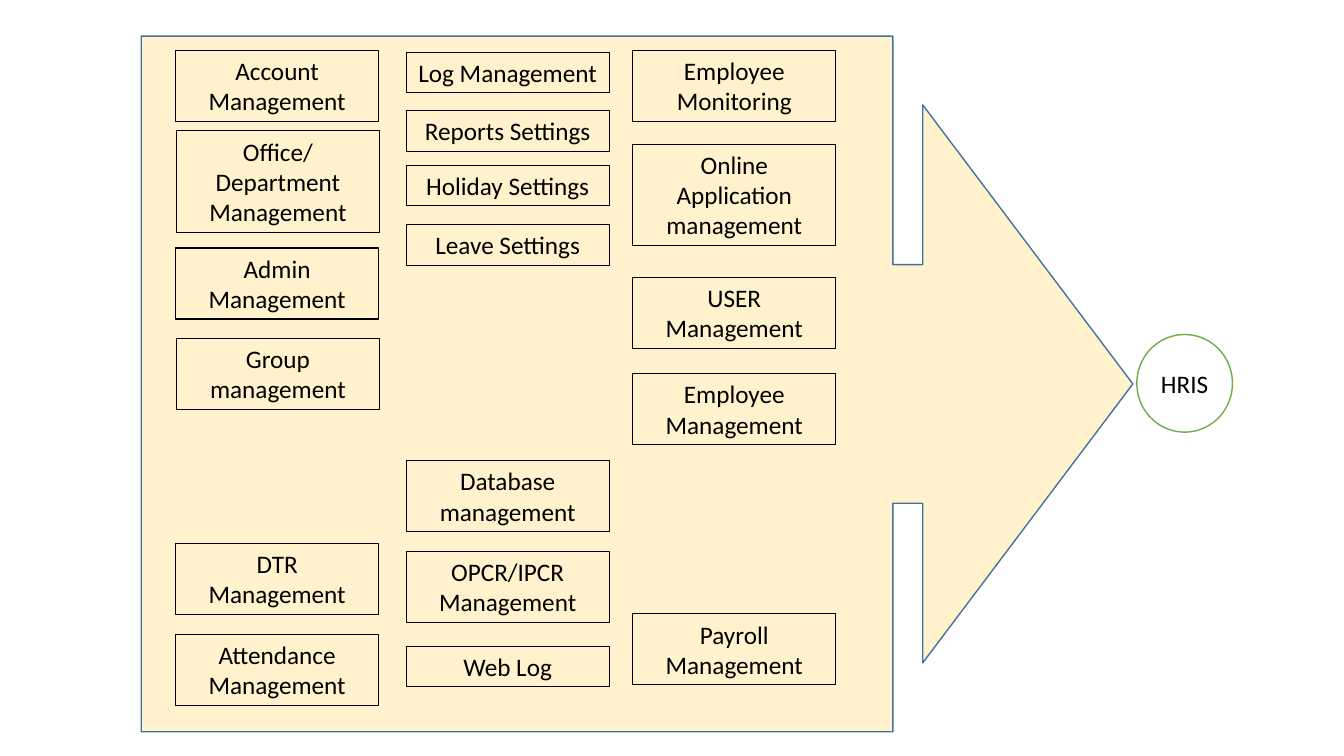
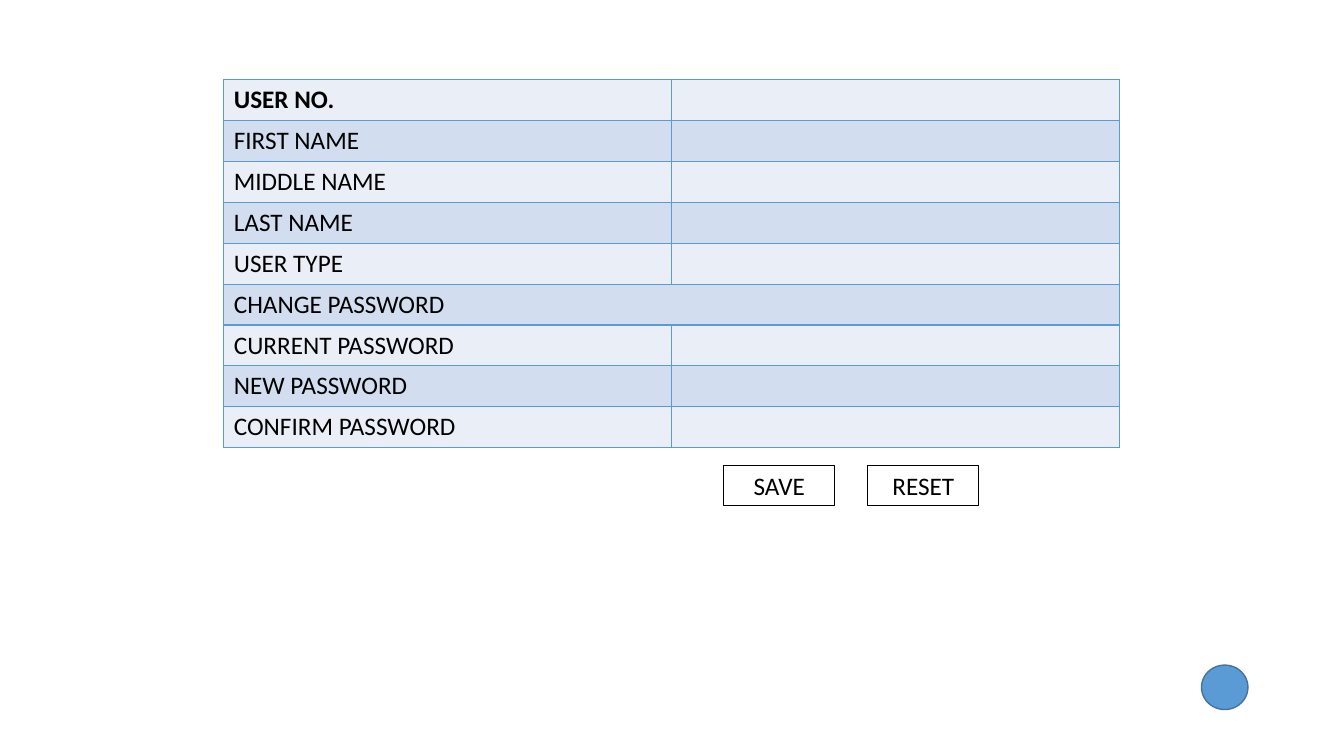
import dataclasses
import typing

import lxml.etree
import pptx
import pptx.dml.color
import pptx.enum.shapes
import pptx.enum.text
import pptx.oxml.ns
import pptx.util

Cm = pptx.util.Cm
Pt = pptx.util.Pt
Preset = pptx.enum.shapes.MSO_SHAPE

BLACK, WHITE = "000000", "FFFFFF"
CREAM, GREEN = "FFF2CC", "70AD47"
BLUE, DARK_BLUE = "5B9BD5", "43739E"
BANDS = ("EAEFF7", "D2DEEF")

BODY_FONT = {"name": "Calibri", "size": Pt(18), "bold": False}
LABEL_FRAME = {
    "word_wrap": True,
    "auto_size": pptx.enum.text.MSO_AUTO_SIZE.SHAPE_TO_FIT_TEXT,
}
BADGE_FRAME = {
    "word_wrap": False,
    "vertical_anchor": pptx.enum.text.MSO_ANCHOR.MIDDLE,
    "margin_left": 0,
    "margin_right": 0,
}

LINE_HEIGHT, LABEL_PADDING = 0.77, 0.25
MODULE_WIDTH, BUTTON_WIDTH = 5.11, 2.8
FIELD_WIDTH, ROW_HEIGHT = 11.29, 1.03


@dataclasses.dataclass(frozen=True)
class Label:
    """A framed text; lengths are in centimetres."""
    text: str
    left: float
    top: float
    lines: int = 2
    width: float = MODULE_WIDTH


ADMIN_LEFT, GROUP_LEFT, SETTINGS_LEFT, EMPLOYEE_LEFT = 4.43, 4.45, 10.24, 15.95

MODULES = (
    Label("Account Management", ADMIN_LEFT, 1.27),
    Label("Office/ Department Management", GROUP_LEFT, 3.3, lines=3),
    Label("Admin Management", ADMIN_LEFT, 6.25),
    Label("Group management", GROUP_LEFT, 8.53),
    Label("DTR Management", ADMIN_LEFT, 13.69),
    Label("Attendance Management", ADMIN_LEFT, 15.98),
    Label("Log Management", SETTINGS_LEFT, 1.32, lines=1),
    Label("Reports Settings", SETTINGS_LEFT, 2.79, lines=1),
    Label("Holiday Settings", SETTINGS_LEFT, 4.17, lines=1),
    Label("Leave Settings", SETTINGS_LEFT, 5.66, lines=1),
    Label("Database management", SETTINGS_LEFT, 11.61),
    Label("OPCR/IPCR Management", SETTINGS_LEFT, 13.89),
    Label("Web Log", SETTINGS_LEFT, 16.28, lines=1),
    Label("Employee Monitoring", EMPLOYEE_LEFT, 1.27),
    Label("Online Application management", EMPLOYEE_LEFT, 3.63, lines=3),
    Label("USER Management", EMPLOYEE_LEFT, 6.99),
    Label("Employee Management", EMPLOYEE_LEFT, 9.42),
    Label("Payroll Management", EMPLOYEE_LEFT, 15.47),
)

BUTTONS = (
    Label("SAVE", 18.24, 11.73, lines=1, width=BUTTON_WIDTH),
    Label("RESET", 21.87, 11.73, lines=1, width=BUTTON_WIDTH),
)

PASSWORD_HEADING = "CHANGE PASSWORD"
ACCOUNT_FIELDS = (
    "USER NO.",
    "FIRST NAME",
    "MIDDLE NAME",
    "LAST NAME",
    "USER TYPE",
    PASSWORD_HEADING,
    "CURRENT PASSWORD",
    "NEW PASSWORD",
    "CONFIRM PASSWORD",
)


def rgb(hex_code: str) -> pptx.dml.color.RGBColor:
    return pptx.dml.color.RGBColor.from_string(hex_code)


def apply_format(target: typing.Any, values: dict[str, typing.Any]) -> None:
    for attribute, value in values.items():
        setattr(target, attribute, value)


def style_font(font: typing.Any, **changes: typing.Any) -> None:
    apply_format(font, BODY_FONT | changes)
    font.color.rgb = rgb(BLACK)


def set_centred_text(frame: typing.Any, text: str, layout: dict[str, typing.Any]) -> None:
    apply_format(frame, layout)
    paragraph = frame.paragraphs[0]
    paragraph.alignment = pptx.enum.text.PP_ALIGN.CENTER
    run = paragraph.add_run()
    run.text = text
    style_font(run.font)


def draw_shape(slide: typing.Any, preset: typing.Any, box: tuple[float, ...],
               fill: str, line: str) -> typing.Any:
    """Add a preset shape; box is left, top, width and height in centimetres."""
    shape = slide.shapes.add_shape(preset, *map(Cm, box))
    shape.shadow.inherit = False
    shape.fill.solid()
    shape.fill.fore_color.rgb = rgb(fill)
    shape.line.color.rgb = rgb(line)
    shape.line.width = Pt(1)
    return shape


def draw_label(slide: typing.Any, label: Label) -> None:
    height = LABEL_PADDING + LINE_HEIGHT * label.lines
    box = slide.shapes.add_textbox(
        Cm(label.left), Cm(label.top), Cm(label.width), Cm(height))
    box.line.color.rgb = rgb(BLACK)
    box.line.width = Pt(0.75)
    set_centred_text(box.text_frame, label.text, LABEL_FRAME)


def add_borders(cell: typing.Any, colour: str) -> None:
    qn = pptx.oxml.ns.qn
    properties = cell._tc.get_or_add_tcPr()
    for position, side in enumerate(("a:lnL", "a:lnR", "a:lnT", "a:lnB")):
        border = lxml.etree.Element(qn(side), w=str(Pt(1)))
        solid = lxml.etree.SubElement(border, qn("a:solidFill"))
        lxml.etree.SubElement(solid, qn("a:srgbClr"), val=colour)
        properties.insert(position, border)


def draw_account_table(slide: typing.Any) -> None:
    table = slide.shapes.add_table(
        len(ACCOUNT_FIELDS), 2, Cm(5.64), Cm(2.01),
        Cm(2 * FIELD_WIDTH), Cm(ROW_HEIGHT * len(ACCOUNT_FIELDS))).table
    apply_format(table, {"first_row": False, "horz_banding": False})
    for column in table.columns:
        column.width = Cm(FIELD_WIDTH)
    for index, field in enumerate(ACCOUNT_FIELDS):
        table.rows[index].height = Cm(ROW_HEIGHT)
        name_cell, value_cell = table.cell(index, 0), table.cell(index, 1)
        for cell in (name_cell, value_cell):
            cell.fill.solid()
            cell.fill.fore_color.rgb = rgb(BANDS[index % 2])
            add_borders(cell, BLUE)
        run = name_cell.text_frame.paragraphs[0].add_run()
        run.text = field
        style_font(run.font, bold=index == 0)
        if field == PASSWORD_HEADING:
            name_cell.merge(value_cell)


def build_module_slide(slide: typing.Any) -> None:
    callout = draw_shape(slide, Preset.RIGHT_ARROW_CALLOUT,
                         (3.56, 0.91, 24.99, 17.53), CREAM, DARK_BLUE)
    for index, ratio in enumerate((0.343, 0.401, 0.302, 0.758)):
        callout.adjustments[index] = ratio
    system = draw_shape(slide, Preset.OVAL, (28.65, 8.43, 2.41, 2.46), WHITE, GREEN)
    set_centred_text(system.text_frame, "HRIS", BADGE_FRAME)
    for module in MODULES:
        draw_label(slide, module)


def build_account_slide(slide: typing.Any) -> None:
    draw_account_table(slide)
    for button in BUTTONS:
        draw_label(slide, button)
    draw_shape(slide, Preset.OVAL, (30.28, 16.76, 1.17, 1.12), BLUE, DARK_BLUE)


def main() -> None:
    deck = pptx.Presentation()
    apply_format(deck, {"slide_width": Cm(33.87), "slide_height": Cm(19.05)})
    blank_layout = deck.slide_layouts[6]
    for build in (build_module_slide, build_account_slide):
        build(deck.slides.add_slide(blank_layout))
    deck.save("out.pptx")


if __name__ == "__main__":
    main()
